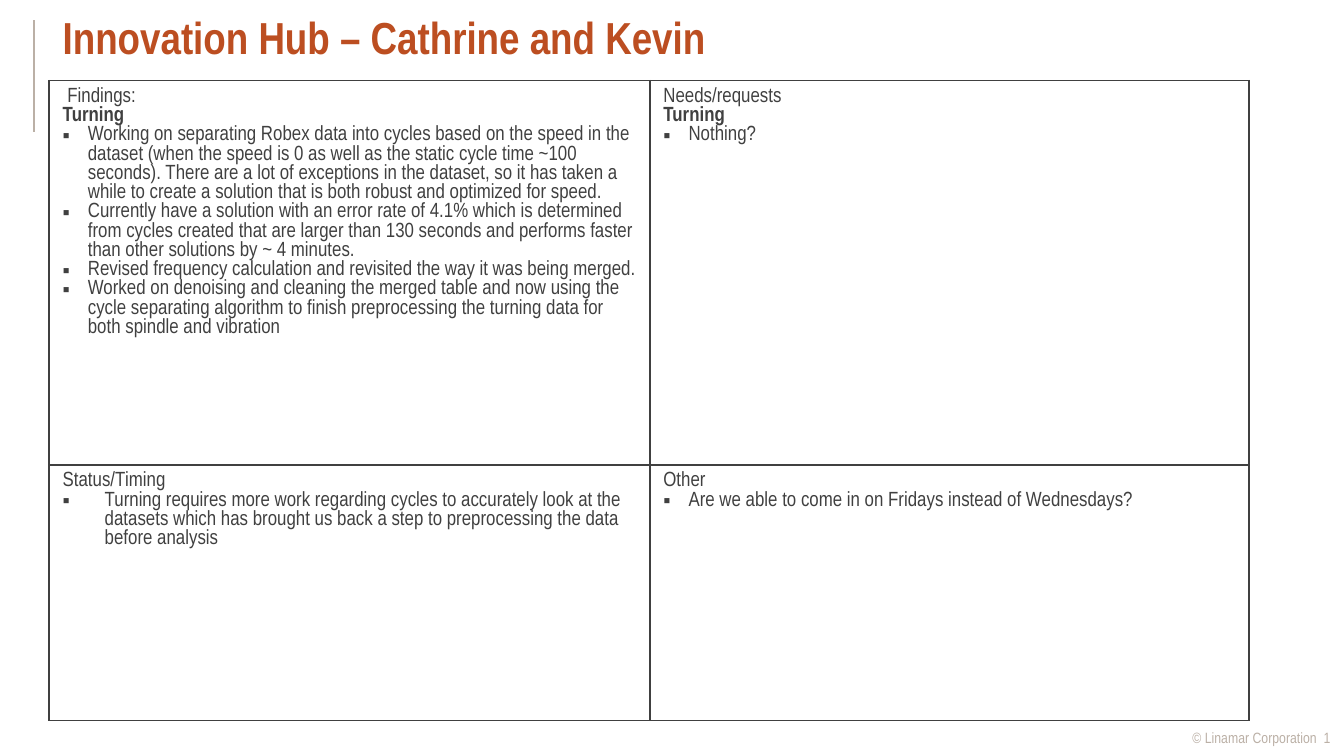
from dataclasses import dataclass

from lxml.etree import SubElement
from pptx import Presentation
from pptx.dml.color import RGBColor
from pptx.enum.shapes import MSO_CONNECTOR as Connector, MSO_SHAPE as Preset
from pptx.enum.text import MSO_ANCHOR as Anchor, MSO_AUTO_SIZE as AutoSize, PP_ALIGN as Align
from pptx.oxml.ns import qn
from pptx.util import Pt

FONT = "Arial Narrow"
ORANGE = "BC4E21"
CHARCOAL = "404040"
TAUPE = "BBB0A6"
WHITE = "FFFFFF"
CONTENT_LEFT = 26.4


@dataclass(frozen=True)
class Entry:
    text: str
    bold: bool = False
    indent: float = 0


@dataclass(frozen=True)
class Quadrant:
    row: int
    column: int
    entries: tuple[Entry, ...]


def bullet(text: str, indent: float = 13.5) -> Entry:
    return Entry(text, indent=indent)


QUADRANTS = (
    Quadrant(0, 0, (
        Entry(" Findings:"),
        Entry("Turning", bold=True),
        bullet("Working on separating Robex data into cycles based on the speed in the dataset "
               "(when the speed is 0 as well as the static cycle time ~100 seconds). There are "
               "a lot of exceptions in the dataset, so it has taken a while to create a solution "
               "that is both robust and optimized for speed."),
        bullet("Currently have a solution with an error rate of 4.1% which is determined from "
               "cycles created that are larger than 130 seconds and performs faster than other "
               "solutions by ~ 4 minutes."),
        bullet("Revised frequency calculation and revisited the way it was being merged."),
        bullet("Worked on denoising and cleaning the merged table and now using the cycle "
               "separating algorithm to finish preprocessing the turning data for both spindle "
               "and vibration"),
    )),
    Quadrant(0, 1, (
        Entry("Needs/requests"),
        Entry("Turning", bold=True),
        bullet("Nothing?"),
    )),
    Quadrant(1, 0, (
        Entry("Status/Timing"),
        bullet("Turning requires more work regarding cycles to accurately look at the datasets "
               "which has brought us back a step to preprocessing the data before analysis", 22.5),
    )),
    Quadrant(1, 1, (
        Entry("Other"),
        bullet("Are we able to come in on Fridays instead of Wednesdays?"),
    )),
)


def color(value: str) -> RGBColor:
    return RGBColor.from_string(value)


def format_font(font, size: float, ink: str, bold: bool = False) -> None:
    font.name = FONT
    font.size = Pt(size)
    font.bold = bold
    font.color.rgb = color(ink)


def add_bullet(paragraph, indent: float) -> None:
    properties = paragraph._p.get_or_add_pPr()
    properties.set("marL", str(Pt(indent)))
    properties.set("indent", str(-Pt(indent)))
    SubElement(properties, qn("a:buFont"), typeface="Arial")
    SubElement(properties, qn("a:buChar"), char="▪")


def add_borders(cell, ink: str, width: float) -> None:
    properties = cell._tc.get_or_add_tcPr()
    for side in ("lnL", "lnR", "lnT", "lnB"):
        border = SubElement(properties, qn(f"a:{side}"), w=str(Pt(width)))
        SubElement(SubElement(border, qn("a:solidFill")), qn("a:srgbClr"), val=ink)


def fill_quadrant(table, quadrant: Quadrant) -> None:
    cell = table.cell(quadrant.row, quadrant.column)
    add_borders(cell, CHARCOAL, 1)
    cell.fill.solid()
    cell.fill.fore_color.rgb = color(WHITE)
    frame = cell.text_frame
    frame.text = "\n".join(entry.text for entry in quadrant.entries)
    for paragraph, entry in zip(frame.paragraphs, quadrant.entries):
        if entry.indent:
            add_bullet(paragraph, entry.indent)
        for run in paragraph.runs:
            format_font(run.font, 11, CHARCOAL, entry.bold)


def add_title(slide) -> None:
    title = slide.shapes.title
    title.left, title.top, title.width, title.height = (
        Pt(CONTENT_LEFT), Pt(-4.3), Pt(684), Pt(47.5)
    )
    frame = title.text_frame
    frame.text = "Innovation Hub – Cathrine and Kevin"
    frame.auto_size = AutoSize.NONE
    frame.vertical_anchor = Anchor.MIDDLE
    heading = frame.paragraphs[0]
    heading.alignment = Align.LEFT
    format_font(heading.runs[0].font, 24, ORANGE, True)


def add_margin_rule(slide) -> None:
    rule = slide.shapes.add_connector(Connector.STRAIGHT, Pt(18), Pt(10.8), Pt(18), Pt(70.6))
    rule.line.color.rgb = color(TAUPE)
    rule.line.width = Pt(1)
    SubElement(rule._element.spPr, qn("a:effectLst"))


def add_footer_panel(slide, preset: Preset, left: float, width: float):
    panel = slide.shapes.add_shape(preset, Pt(left), Pt(391), Pt(width), Pt(13.7))
    panel.shadow.inherit = False
    panel.fill.solid()
    panel.fill.fore_color.rgb = color(WHITE)
    panel.line.fill.background()
    return panel


def add_footer(slide) -> None:
    add_footer_panel(slide, Preset.RECTANGLE, 570.2, 149.8)
    slant = add_footer_panel(slide, Preset.RIGHT_TRIANGLE, 557.2, 13)
    slant._element.spPr.xfrm.set("flipH", "1")
    footer = slide.shapes.add_textbox(Pt(576), Pt(386.6), Pt(144), Pt(17))
    frame = footer.text_frame
    frame.word_wrap = True
    frame.text = "© Linamar Corporation  1"
    copyright_line = frame.paragraphs[0]
    copyright_line.alignment = Align.RIGHT
    format_font(copyright_line.runs[0].font, 8, TAUPE)


def add_quadrant_table(slide) -> None:
    widths, heights = (321.8, 321.1), (206, 136.8)
    table = slide.shapes.add_table(
        2, 2, Pt(CONTENT_LEFT), Pt(43.2), Pt(sum(widths)), Pt(sum(heights))
    ).table
    table.first_row = False
    table.horz_banding = False
    for column, width in zip(table.columns, widths):
        column.width = Pt(width)
    for row, height in zip(table.rows, heights):
        row.height = Pt(height)
    for quadrant in QUADRANTS:
        fill_quadrant(table, quadrant)


def main() -> None:
    deck = Presentation()
    deck.slide_width, deck.slide_height = Pt(720), Pt(405)
    slide = deck.slides.add_slide(deck.slide_layouts.get_by_name("Title Only"))
    add_margin_rule(slide)
    add_footer(slide)
    add_title(slide)
    add_quadrant_table(slide)
    deck.save("out.pptx")


if __name__ == "__main__":
    main()
